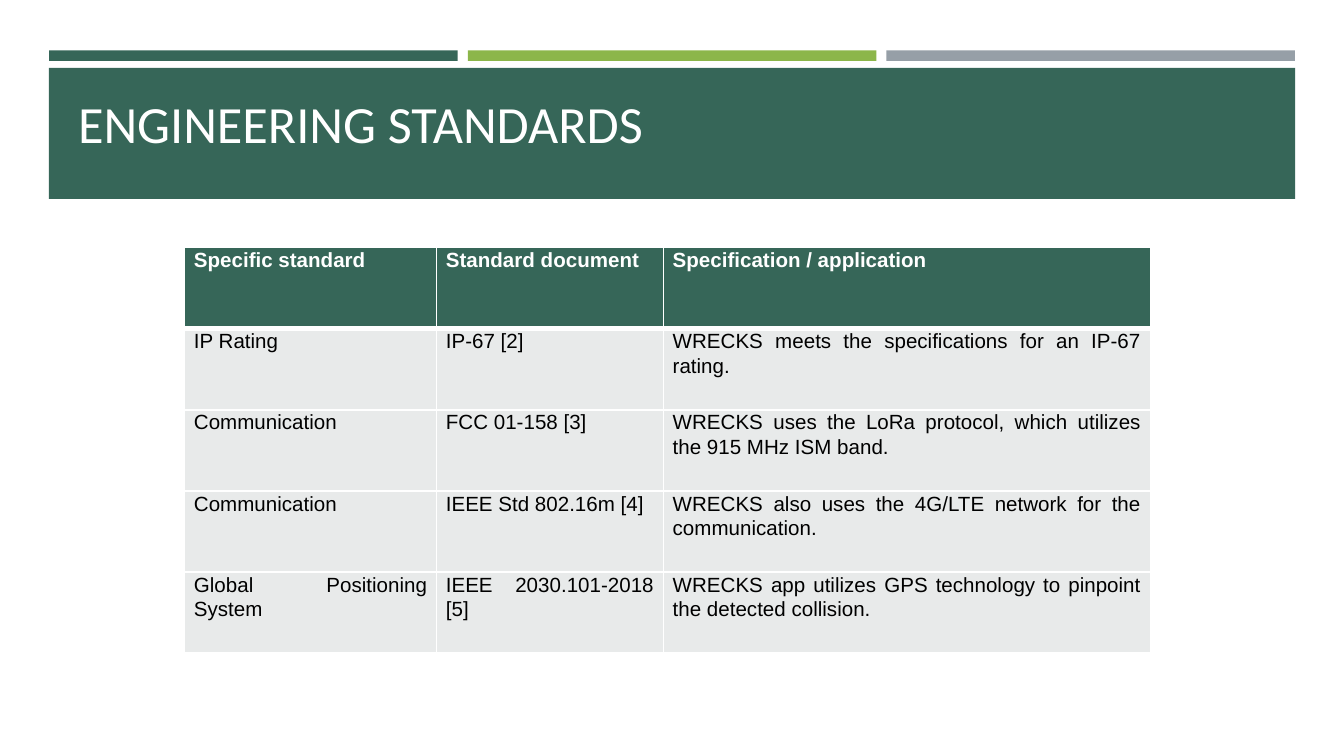
from lxml import etree
from pptx import Presentation
from pptx.dml.color import RGBColor
from pptx.enum.shapes import MSO_SHAPE
from pptx.enum.text import MSO_ANCHOR, PP_ALIGN
from pptx.oxml.ns import qn
from pptx.util import Pt

RECTANGLE = MSO_SHAPE.RECTANGLE
TOP = MSO_ANCHOR.TOP
LEFT, JUSTIFY = PP_ALIGN.LEFT, PP_ALIGN.JUSTIFY
GREEN, LIME, GRAY = "366658", "8CB64A", "969FA7"
PALE, WHITE, BLACK = "E8EAEA", "FFFFFF", "000000"


def color(hex_value):
    return RGBColor.from_string(hex_value)


def add_border(cell, side, width):
    line = etree.SubElement(cell._tc.get_or_add_tcPr(), qn(f"a:{side}"), w=str(Pt(width)))
    fill = etree.SubElement(line, qn("a:solidFill"))
    etree.SubElement(fill, qn("a:srgbClr"), val=WHITE)


prs = Presentation()
prs.slide_width, prs.slide_height = Pt(720), Pt(405)
slide = prs.slides.add_slide(prs.slide_layouts[5])

bands = [
    (26.3, 27, 218.9, 5.6, GREEN),
    (250.6, 27, 218.9, 5.6, LIME),
    (474.9, 27, 218.9, 5.6, GRAY),
    (26.2, 36.3, 667.6, 70.2, GREEN),
]
for left, top, width, height, hex_value in bands:
    band = slide.shapes.add_shape(RECTANGLE, Pt(left), Pt(top), Pt(width), Pt(height))
    band.shadow.inherit = False
    band.fill.solid()
    band.fill.fore_color.rgb = color(hex_value)
    band.line.fill.background()

title = slide.shapes.title
slide.shapes._spTree.append(title._element)
title.left, title.top, title.width, title.height = Pt(34.6), Pt(41.8), Pt(651.6), Pt(59.8)
title_frame = title.text_frame
title_frame.text = "ENGINEERING STANDARDS"
title_format = {
    "margin_left": Pt(7.2), "margin_right": Pt(7.2),
    "margin_top": Pt(7.2), "margin_bottom": Pt(7.2),
    "vertical_anchor": TOP, "word_wrap": True,
}
for name, value in title_format.items():
    setattr(title_frame, name, value)
heading = title_frame.paragraphs[0]
heading.alignment = LEFT
for name, value in {"name": "Calibri", "size": Pt(28), "bold": False}.items():
    setattr(heading.font, name, value)
heading.font.color.rgb = color(WHITE)

standards = [
    ("Specific standard", "Standard document", "Specification / application"),
    ("IP Rating", "IP-67 [2]", "WRECKS meets the specifications for an IP-67 rating."),
    ("Communication", "FCC 01-158 [3]",
     "WRECKS uses the LoRa protocol, which utilizes the 915 MHz ISM band."),
    ("Communication", "IEEE Std 802.16m [4]",
     "WRECKS also uses the 4G/LTE network for the communication."),
    ("Global Positioning System", "IEEE 2030.101-2018 [5]",
     "WRECKS app utilizes GPS technology to pinpoint the detected collision."),
]
column_widths = [135, 121.5, 261]
row_height = 43.45
standards_table = slide.shapes.add_table(
    len(standards), len(column_widths), Pt(98.9), Pt(132.7),
    Pt(sum(column_widths)), Pt(row_height * len(standards))).table
for column, width in zip(standards_table.columns, column_widths):
    column.width = Pt(width)

cell_format = {
    "margin_left": Pt(5), "margin_right": Pt(5),
    "margin_top": 0, "margin_bottom": 0, "vertical_anchor": TOP,
}
for row, texts in enumerate(standards):
    standards_table.rows[row].height = Pt(row_height)
    is_header = row == 0
    paragraph_format = {
        "alignment": JUSTIFY, "line_spacing": 1.07,
        "space_after": Pt(12 if row < 2 else 8),
    }
    font_format = {"name": "Arial", "size": Pt(11), "bold": is_header}
    border_widths = {
        "lnL": 1, "lnR": 1,
        "lnT": 3 if row == 1 else 1, "lnB": 3 if is_header else 1,
    }
    for column, text in enumerate(texts):
        cell = standards_table.cell(row, column)
        cell.text = text
        for name, value in cell_format.items():
            setattr(cell, name, value)
        for side, width in border_widths.items():
            add_border(cell, side, width)
        cell.fill.solid()
        cell.fill.fore_color.rgb = color(GREEN if is_header else PALE)
        entry = cell.text_frame.paragraphs[0]
        for name, value in paragraph_format.items():
            setattr(entry, name, value)
        for name, value in font_format.items():
            setattr(entry.font, name, value)
        entry.font.color.rgb = color(WHITE if is_header else BLACK)

prs.save("out.pptx")
